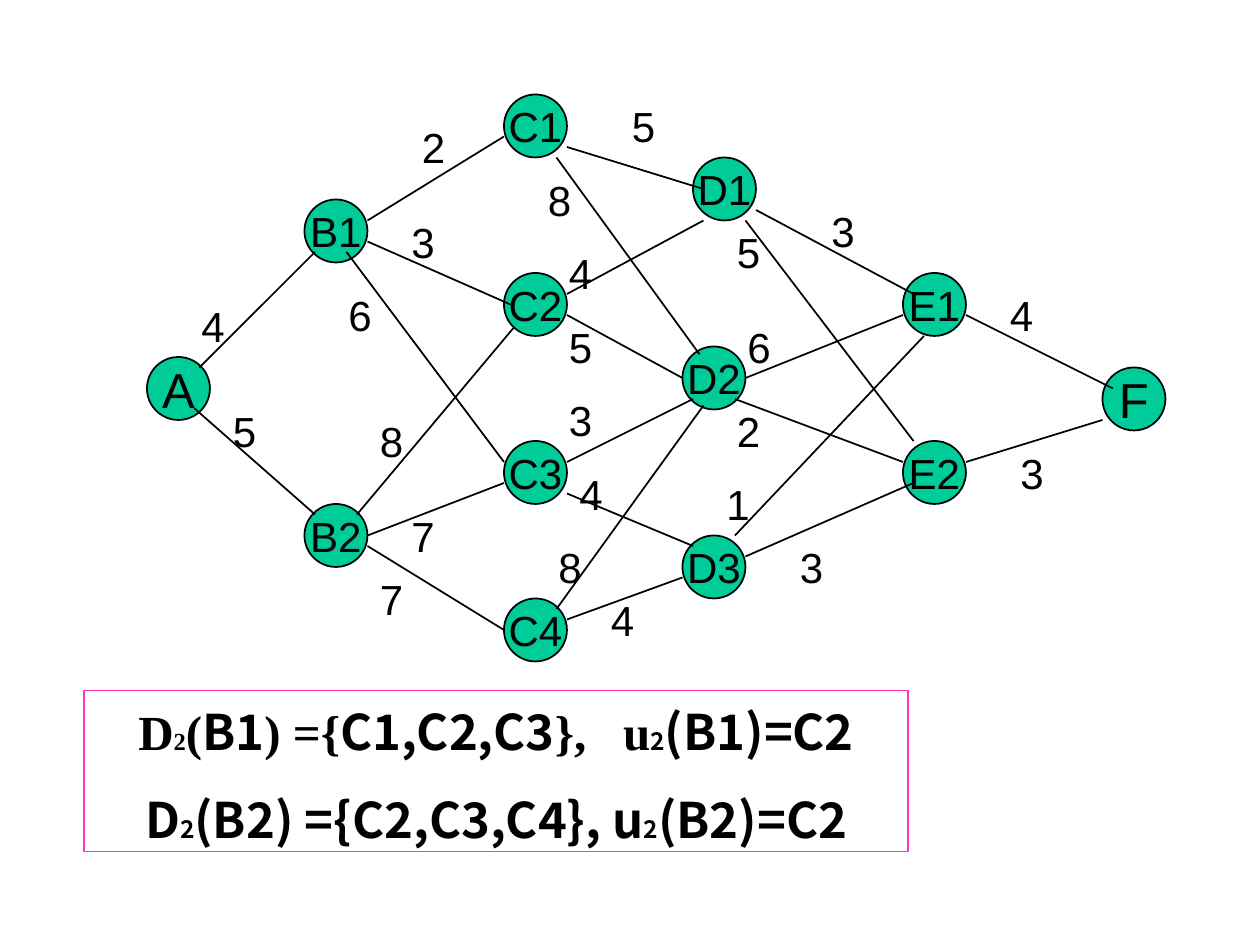
"""Build a slide with a staged shortest-path network and its decision sets."""
import dataclasses
import typing

import lxml.etree
import pptx
import pptx.dml.color
import pptx.enum.shapes
import pptx.enum.text
import pptx.oxml.ns
import pptx.util

EMU_PER_PX = 9525
NODE_SIZE = 48
WEIGHT_SIZE = 48
COLORS = {"ink": "000000", "node": "00CC99", "paper": "FFFFFF", "frame": "FF33CC"}
SANS, SERIF, BOLD_SANS = "Arial", "Times New Roman", "Noto Sans CJK SC"
Point = tuple[int, int]


@dataclasses.dataclass(frozen=True)
class Node:
    name: str
    corner: Point
    points: int = 24


@dataclasses.dataclass(frozen=True)
class Edge:
    start: Point
    end: Point
    weight: int
    weight_corner: Point


@dataclasses.dataclass(frozen=True)
class Piece:
    text: str
    font: str = BOLD_SANS
    points: int = 28
    tracking: int = 0


NODES = [
    Node("A", (112, 272), 28),
    Node("B1", (232, 152)),
    Node("B2", (232, 384)),
    Node("C1", (384, 72)),
    Node("C2", (384, 208)),
    Node("C3", (384, 336)),
    Node("C4", (384, 456)),
    Node("D1", (528, 120)),
    Node("D2", (520, 264)),
    Node("D3", (520, 408)),
    Node("E1", (688, 208)),
    Node("E2", (688, 336)),
    Node("F", (840, 280), 28),
]

EDGES = [
    Edge((148, 311), (240, 392), 5, (168, 304)),
    Edge((152, 280), (240, 192), 4, (144, 224)),
    Edge((280, 168), (384, 104), 2, (312, 88)),
    Edge((280, 184), (389, 232), 3, (304, 160)),
    Edge((264, 192), (384, 352), 6, (256, 216)),
    Edge((272, 392), (392, 249), 8, (280, 312)),
    Edge((280, 408), (384, 368), 7, (304, 384)),
    Edge((280, 416), (384, 480), 7, (280, 432)),
    Edge((424, 464), (536, 309), 8, (416, 408)),
    Edge((432, 472), (520, 440), 4, (456, 448)),
    Edge((432, 376), (528, 416), 4, (432, 352)),
    Edge((432, 352), (528, 304), 3, (424, 296)),
    Edge((432, 240), (520, 288), 5, (424, 240)),
    Edge((432, 224), (536, 168), 4, (424, 184)),
    Edge((424, 120), (533, 270), 8, (408, 128)),
    Edge((432, 112), (536, 144), 5, (472, 72)),
    Edge((568, 424), (696, 368), 3, (600, 408)),
    Edge((560, 408), (704, 256), 1, (544, 360)),
    Edge((576, 160), (696, 224), 3, (624, 152)),
    Edge((568, 168), (696, 336), 5, (552, 168)),
    Edge((568, 288), (688, 240), 6, (560, 240)),
    Edge((560, 304), (688, 352), 2, (552, 304)),
    Edge((736, 240), (848, 296), 4, (760, 216)),
    Edge((736, 352), (840, 320), 3, (768, 336)),
]

DECISIONS = [
    [
        Piece("D", SERIF),
        Piece("2", SERIF, 14),
        Piece("(", SERIF),
        Piece("B1"),
        Piece(") ={", SERIF),
        Piece("C1,C2,C3"),
        Piece("},", SERIF),
        Piece(" ", SERIF, tracking=1400),
        Piece("u", SERIF),
        Piece("2", points=14),
        Piece("(B1)=C2"),
    ],
    [
        Piece("D"),
        Piece("2", points=14),
        Piece("(B2) ={C2,C3,C4}, u"),
        Piece("2", points=14),
        Piece("(B2)=C2"),
    ],
]


def px(length: int) -> pptx.util.Emu:
    return pptx.util.Emu(length * EMU_PER_PX)


def rgb(name: str) -> pptx.dml.color.RGBColor:
    return pptx.dml.color.RGBColor.from_string(COLORS[name])


def style_font(font: typing.Any, face: str, points: int, bold: bool = False) -> None:
    font.name = face
    font.size = pptx.util.Pt(points)
    font.bold = bold
    font.color.rgb = rgb("ink")


def style_shape(shape: typing.Any, fill: str, line: str, width: float) -> None:
    shape.shadow.inherit = False
    shape.fill.solid()
    shape.fill.fore_color.rgb = rgb(fill)
    shape.line.color.rgb = rgb(line)
    shape.line.width = pptx.util.Pt(width)


def draw_node(shapes: typing.Any, node: Node) -> None:
    left, top = node.corner
    circle = shapes.add_shape(pptx.enum.shapes.MSO_SHAPE.OVAL,
                              px(left), px(top), px(NODE_SIZE), px(NODE_SIZE))
    style_shape(circle, "node", "ink", 1)
    frame = circle.text_frame
    frame.word_wrap = False
    frame.vertical_anchor = pptx.enum.text.MSO_ANCHOR.MIDDLE
    frame.text = node.name
    label = frame.paragraphs[0]
    label.alignment = pptx.enum.text.PP_ALIGN.CENTER
    style_font(label.runs[0].font, SANS, node.points)


def draw_edge(shapes: typing.Any, edge: Edge) -> None:
    link = shapes.add_connector(pptx.enum.shapes.MSO_CONNECTOR.STRAIGHT,
                                *map(px, edge.start + edge.end))
    link.line.color.rgb = rgb("ink")
    link.line.width = pptx.util.Pt(1)
    lxml.etree.SubElement(link._element.spPr, pptx.oxml.ns.qn("a:effectLst"))


def draw_weight(shapes: typing.Any, edge: Edge) -> None:
    left, top = edge.weight_corner
    weight = shapes.add_textbox(px(left), px(top), px(WEIGHT_SIZE), px(WEIGHT_SIZE))
    weight.text_frame.word_wrap = True
    weight.text_frame.text = str(edge.weight)
    style_font(weight.text_frame.paragraphs[0].runs[0].font, SANS, 24)


def draw_decisions(shapes: typing.Any, rows: list[list[Piece]]) -> None:
    panel = shapes.add_shape(pptx.enum.shapes.MSO_SHAPE.RECTANGLE,
                             px(64), px(526), px(628), px(123))
    style_shape(panel, "paper", "frame", 0.75)
    frame = panel.text_frame
    frame.word_wrap = True
    frame.vertical_anchor = pptx.enum.text.MSO_ANCHOR.TOP
    frame.margin_top = px(9)
    for index, row in enumerate(rows):
        formula = frame.add_paragraph() if index else frame.paragraphs[0]
        formula.alignment = pptx.enum.text.PP_ALIGN.CENTER
        formula.line_spacing = pptx.util.Pt(33)
        if index:
            formula.space_before = pptx.util.Pt(17.5)
        for piece in row:
            run = formula.add_run()
            run.text = piece.text
            style_font(run.font, piece.font, piece.points, bold=True)
            if piece.tracking:
                run.font._element.set("spc", str(piece.tracking))


def main() -> None:
    deck = pptx.Presentation()
    deck.slide_width, deck.slide_height = px(960), px(720)
    shapes = deck.slides.add_slide(deck.slide_layouts[6]).shapes
    for node in NODES:
        draw_node(shapes, node)
    for edge in EDGES:
        draw_edge(shapes, edge)
    for edge in EDGES:
        draw_weight(shapes, edge)
    draw_decisions(shapes, DECISIONS)
    deck.save("out.pptx")


if __name__ == "__main__":
    main()
